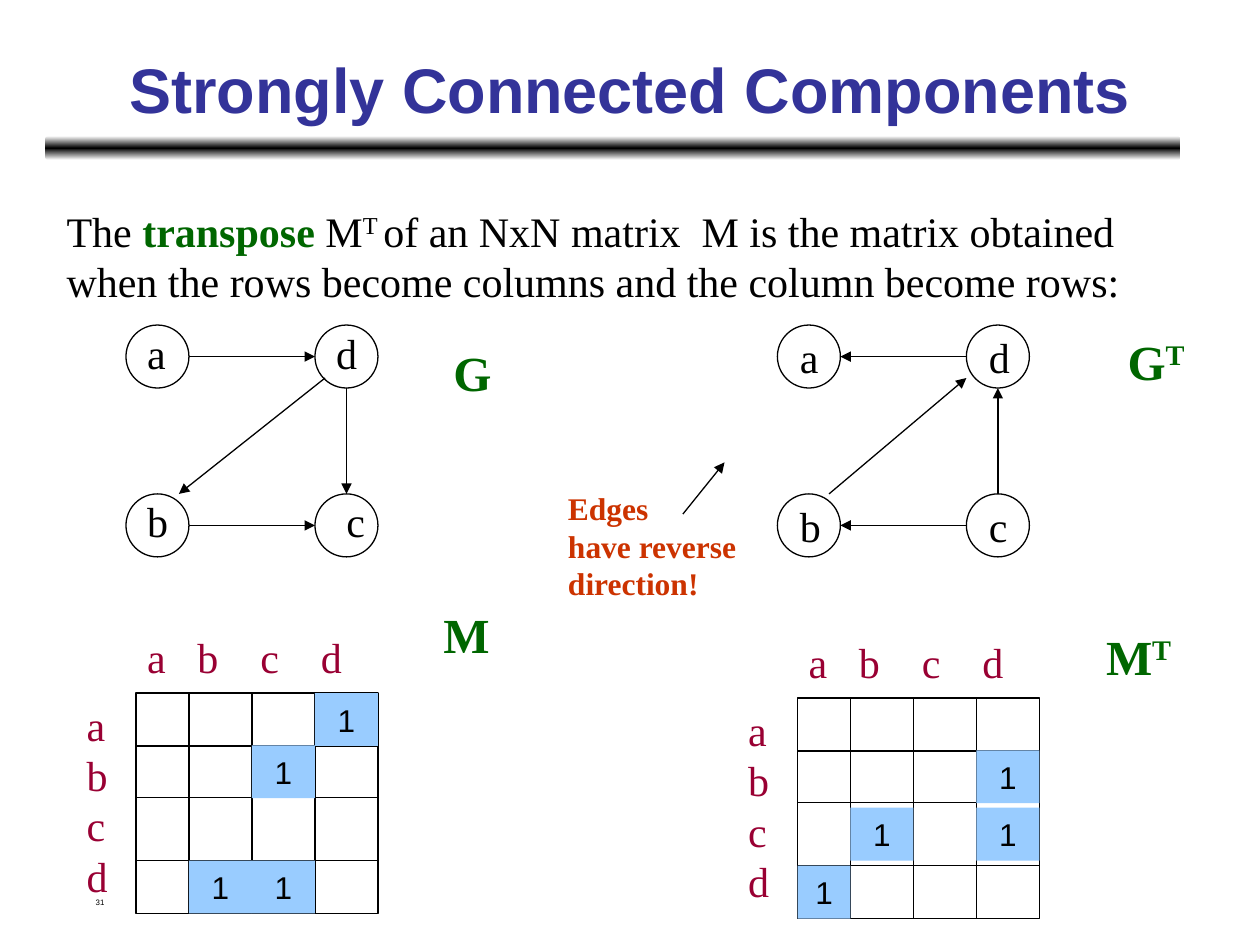
import copy
import pptx
import pptx.dml.color
import pptx.enum.shapes
import pptx.enum.text
import pptx.oxml
import pptx.oxml.ns
import pptx.util

Inches = pptx.util.Inches
RGBColor = pptx.dml.color.RGBColor
SHAPE = pptx.enum.shapes.MSO_SHAPE
ALIGN = pptx.enum.text.PP_ALIGN
ANCHOR = pptx.enum.text.MSO_ANCHOR
qn = pptx.oxml.ns.qn

COLORS = {"black": "000000", "white": "FFFFFF", "title": "333399", "green": "006600",
          "axis": "990033", "note": "CC3300", "mark": "99CCFF"}
SERIF, SANS = "Times New Roman", "Arial"
BODY = {"name": SERIF, "size": 24, "color": "black"}
AXIS = {**BODY, "color": "axis"}
NAME = {"name": SERIF, "size": 28, "color": "green", "bold": True}
NOTE = {"name": SERIF, "size": 18, "color": "note", "bold": True}
MARK = {"name": SANS, "size": 18, "color": "black"}
SUPERSCRIPT = {"baseline": "30000"}

presentation = pptx.Presentation()
presentation.slide_width, presentation.slide_height = Inches(10), Inches(7.5)
slide = presentation.slides.add_slide(presentation.slide_layouts[5])


def write(shape, lines, style, align=ALIGN.LEFT, anchor=ANCHOR.TOP, wrap=False):
    """Fill a shape with lines, each a string or a list of (text, format changes)."""
    frame = shape.text_frame
    frame.word_wrap, frame.vertical_anchor = wrap, anchor
    for index, line in enumerate(lines):
        paragraph = frame.add_paragraph() if index else frame.paragraphs[0]
        paragraph.alignment = align
        for text, changes in [(line, {})] if isinstance(line, str) else line:
            run = paragraph.add_run()
            run.text = text
            for key, value in {**style, **changes}.items():
                if key == "color":
                    run.font.color.rgb = RGBColor.from_string(COLORS[value])
                elif key == "baseline":
                    run._r.get_or_add_rPr().set("baseline", value)
                else:
                    setattr(run.font, key, pptx.util.Pt(value) if key == "size" else value)
    return frame


def add_line(start, end, arrow=False):
    """Draw a thin black line, with an arrowhead at its end if wanted."""
    connector = slide.shapes.add_connector(
        pptx.enum.shapes.MSO_CONNECTOR.STRAIGHT, *map(Inches, (*start, *end)))
    connector.line.color.rgb = RGBColor.from_string(COLORS["black"])
    connector.line.width = pptx.util.Pt(0.75)
    if arrow:
        head = pptx.oxml.parse_xml(f'<a:tailEnd {pptx.oxml.ns.nsdecls("a")} type="triangle"/>')
        connector.line._get_or_add_ln().append(head)
    connector._element.spPr.append(
        pptx.oxml.parse_xml(f'<a:effectLst {pptx.oxml.ns.nsdecls("a")}/>'))


# Title and the bar below it
title = slide.shapes.title
title.left, title.top, title.width, title.height = map(Inches, (0.75, 0.08, 8.5, 1.25))
write(title, ["Strongly Connected Components"],
      {"name": SANS, "size": 36, "color": "title", "bold": True},
      ALIGN.CENTER, ANCHOR.MIDDLE, wrap=True)

bar = slide.shapes.add_shape(SHAPE.ROUNDED_RECTANGLE, *map(Inches, (0.36, 1.08, 9.01, 0.19)))
bar.shadow.inherit = False
bar.line.fill.background()
bar.fill.gradient()
bar.fill.gradient_angle = 90
stop_list = bar._element.spPr.find(".//" + qn("a:gsLst"))
stop_list.append(copy.deepcopy(stop_list[0]))
for stop, position, color in zip(bar.fill.gradient_stops, (0, 0.5, 1), ("white", "black", "white")):
    stop.position = position
    stop.color.rgb = RGBColor.from_string(COLORS[color])

# Graph nodes: a and d above, b and c below
NODE = 0.5
for graph_left in (1, 6.17):
    for column in (0, 1.5):
        for top in (2.58, 3.92):
            node = slide.shapes.add_shape(
                SHAPE.OVAL, *map(Inches, (graph_left + column, top, NODE, NODE)))
            node.shadow.inherit = False
            node.fill.background()
            node.line.color.rgb = RGBColor.from_string(COLORS["black"])
            node.line.width = pptx.util.Pt(0.75)

# Graph edges, reversed in the second graph, and the pointer of the note
for start, end in [
    ((1.5, 2.83), (2.5, 2.83)), ((2.58, 3), (1.42, 3.92)),
    ((1.5, 4.17), (2.5, 4.17)), ((2.75, 3.08), (2.75, 3.92)),
    ((7.67, 2.83), (6.67, 2.83)), ((6.58, 3.92), (7.67, 3)),
    ((7.67, 4.17), (6.67, 4.17)), ((7.92, 3.92), (7.92, 3.08)),
    ((5.42, 4.08), (5.75, 3.67)),
]:
    add_line(start, end, arrow=True)

# Matrices: grid, axis letters and marked cells as (row, column)
COLUMN_EDGES = (0, 0.42, 0.92, 1.42, 1.92)
ROW_EDGES = (0, 0.42, 0.83, 1.33, 1.75)
MARK_HEIGHT = 0.42
texts = []
for left, top, marks in [
    (1.08, 5.5, [(0, 3), (1, 2), (3, 1), (3, 2)]),
    (6.33, 5.54, [(1, 3), (2, 1), (2, 3), (3, 0)]),
]:
    right, bottom = left + COLUMN_EDGES[-1], top + ROW_EDGES[-1]
    border = slide.shapes.add_shape(
        SHAPE.RECTANGLE, *map(Inches, (left, top, right - left, bottom - top)))
    border.shadow.inherit = False
    border.fill.background()
    border.line.color.rgb = RGBColor.from_string(COLORS["black"])
    border.line.width = pptx.util.Pt(0.75)
    for x in COLUMN_EDGES[1:-1]:
        add_line((left + x, top), (left + x, bottom))
    for y in ROW_EDGES[1:-1]:
        add_line((left, top + y), (right, top + y))
    for row, column in marks:
        x, next_x = COLUMN_EDGES[column:column + 2]
        y, next_y = ROW_EDGES[row:row + 2]
        mark_top = top + (y + next_y - MARK_HEIGHT) / 2
        mark = slide.shapes.add_shape(
            SHAPE.RECTANGLE, *map(Inches, (left + x, mark_top, next_x - x, MARK_HEIGHT)))
        mark.shadow.inherit = False
        mark.fill.solid()
        mark.fill.fore_color.rgb = RGBColor.from_string(COLORS["mark"])
        mark.line.fill.background()
        write(mark, ["1"], MARK, ALIGN.CENTER, ANCHOR.MIDDLE)
    texts += [((left - 0.01, top - 0.54, 1.85, 0.5), ["a   b    c    d"], AXIS),
              ((left - 0.49, top, 0.36, 1.7), list("abcd"), AXIS)]

# Node letters
for letter, x, y in [
    ("a", 1.07, 2.55), ("b", 1.07, 3.88), ("c", 2.65, 3.88), ("d", 2.57, 2.55),
    ("a", 6.25, 2.58), ("b", 6.25, 3.92), ("c", 7.75, 3.92), ("d", 7.75, 2.58),
]:
    texts.append(((x, y, 0.36, 0.5), [letter], BODY))

# Statement, names of graphs and matrices, and note
texts += [
    ((0.43, 1.58, 8.7, 0.9), [
        [("The ", {}), ("transpose", {"color": "green", "bold": True}), (" M", {}),
         ("T ", SUPERSCRIPT), ("of an NxN matrix  M is the matrix obtained", {})],
        "when the rows become columns and the column become rows:"], BODY),
    ((3.5, 2.67, 0.55, 0.57), ["G"], NAME),
    ((8.85, 2.58, 0.75, 0.57), [[("G", {}), ("T", SUPERSCRIPT)]], NAME),
    ((3.42, 4.75, 0.6, 0.57), ["M"], NAME),
    ((8.68, 4.92, 0.8, 0.57), [[("M", {}), ("T", SUPERSCRIPT)]], NAME),
    ((4.41, 3.83, 1.6, 1), ["Edges", "have reverse", "direction!"], NOTE),
]
for box, lines, style in texts:
    write(slide.shapes.add_textbox(*map(Inches, box)), lines, style)

# Slide number
number = slide.shapes.add_textbox(*map(Inches, (0.5, 7, 2.33, 0.35)))
number_frame = write(number, ["31"], {"name": SANS, "size": 4.5, "color": "black"}, wrap=True)
number_frame.margin_left, number_frame.margin_top = Inches(0.26), Inches(0.12)

presentation.save("out.pptx")
